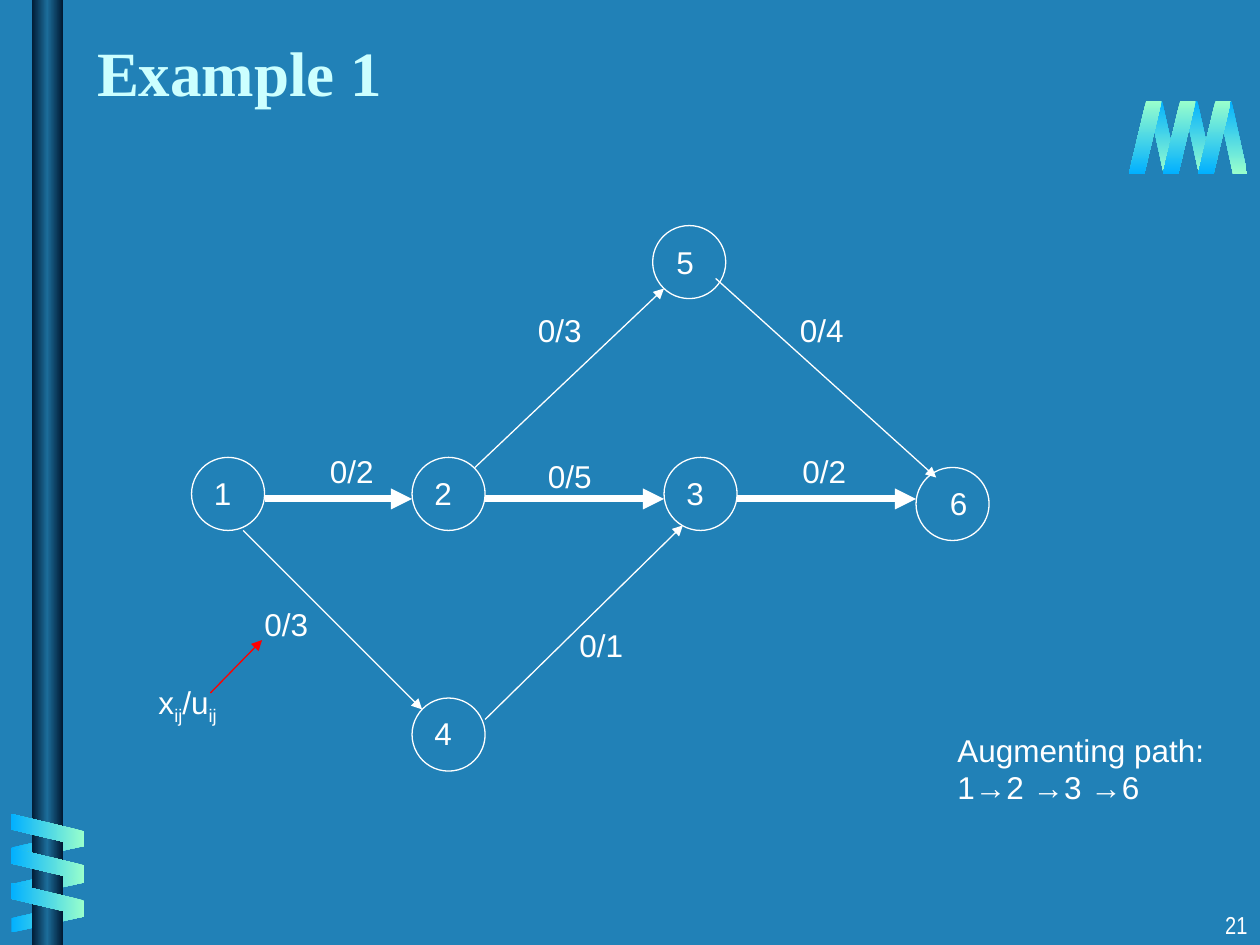
"""Build the slide that shows an augmenting path in a flow network."""
from pptx import Presentation, oxml, util as u
from pptx.dml.color import RGBColor
from pptx.enum import shapes, text
from pptx.oxml import ns

BACKGROUND = RGBColor(0x21, 0x81, 0xB7)
WHITE = RGBColor(0xFF, 0xFF, 0xFF)
RED = RGBColor(0xFF, 0x00, 0x00)
TITLE_COLOR = RGBColor(0xCC, 0xFF, 0xFF)
BAR_EDGE = RGBColor(0x00, 0x19, 0x32)
BAR_CENTER = RGBColor(0x1C, 0x6D, 0x9A)
RIBBON_BLUE = RGBColor(0x01, 0xB0, 0xFF)
RIBBON_GREEN = RGBColor(0x99, 0xFF, 0xCC)

BAR_STOPS = (BAR_EDGE, BAR_CENTER, BAR_EDGE)
BACK_STOPS = (RIBBON_BLUE, RIBBON_GREEN)
FRONT_STOPS = (RIBBON_GREEN, RIBBON_BLUE)

NODE_SIZE = 0.58
NODES = {
    "1": (1.52, 3.63), "2": (3.27, 3.63), "3": (5.27, 3.63),
    "4": (3.27, 5.54), "5": (5.18, 1.79), "6": (7.27, 3.71),
}
LABEL_SHIFTS = {"5": (0.09, 0.09), "6": (0.17, 0.08)}
THIN, THICK = 0.75, 4
EDGES = [
    ((1.93, 4.21), (3.35, 5.63), THIN, "0/3", (2, 4.75)),
    ((2.1, 3.96), (3.27, 3.96), THICK, "0/2", (2.52, 3.54)),
    ((3.77, 3.71), (5.27, 2.29), THIN, "0/3", (4.17, 2.42)),
    ((3.85, 3.96), (5.27, 3.96), THICK, "0/5", (4.25, 3.58)),
    ((3.85, 5.71), (5.42, 4.17), THIN, "0/1", (4.5, 4.92)),
    ((5.85, 3.96), (7.27, 3.96), THICK, "0/2", (6.27, 3.54)),
    ((5.68, 2.21), (7.43, 3.79), THIN, "0/4", (6.25, 2.42)),
]


def apply_format(target, values):
    """Set each named attribute on the target."""
    for name, value in values.items():
        setattr(target, name, value)


class SlideBuilder:
    """Hold the style and the current slide."""

    body = {"name": "Arial", "size": u.Pt(18)}
    heading = {"name": "Times New Roman", "size": u.Pt(36), "bold": True}
    number = {"name": "Arial Narrow", "size": u.Pt(14)}

    def __init__(self, slide):
        """Keep the slide and color its background."""
        self.slide = slide
        slide.background.fill.solid()
        slide.background.fill.fore_color.rgb = BACKGROUND

    def title(self, words, box):
        """Fill and place the title placeholder."""
        shape = self.slide.shapes.title
        lengths = map(u.Inches, box)
        apply_format(shape, dict(zip(("left", "top", "width", "height"), lengths)))
        shape.text_frame.text = words
        apply_format(shape.text_frame, {
            "vertical_anchor": text.MSO_ANCHOR.BOTTOM,
            "auto_size": text.MSO_AUTO_SIZE.NONE, "word_wrap": True})
        paragraph = shape.text_frame.paragraphs[0]
        paragraph.alignment = text.PP_ALIGN.LEFT
        apply_format(paragraph.font, self.heading)
        paragraph.font.color.rgb = TITLE_COLOR

    def gradient(self, shape, stops, angle):
        """Give a shape a linear gradient that ignores its rotation."""
        shape.shadow.inherit = False
        shape.line.fill.background()
        shape.fill.background()
        stop_list = "".join(
            f'<a:gs pos="{100000 * index // (len(stops) - 1)}"><a:srgbClr val="{color}"/></a:gs>'
            for index, color in enumerate(stops))
        fill = oxml.parse_xml(
            f'<a:gradFill {ns.nsdecls("a")} rotWithShape="0"><a:gsLst>{stop_list}</a:gsLst>'
            f'<a:lin ang="{angle * 60000}" scaled="1"/></a:gradFill>')
        properties = shape._element.spPr
        properties.replace(properties.find(ns.qn("a:noFill")), fill)

    def shape(self, kind, box):
        """Add a preset shape."""
        return self.slide.shapes.add_shape(kind, *map(u.Inches, box))

    def ribbon(self, box, rotation, stops, angle, flipped):
        """Add one slanted strip of a coil."""
        shape = self.shape(shapes.MSO_SHAPE.PARALLELOGRAM, box)
        shape.adjustments[0] = 0.53
        shape.rotation = rotation
        if flipped:
            shape._element.spPr.xfrm.set("flipH", "1")
        self.gradient(shape, stops, angle)

    def outline(self, points, stops, angle):
        """Add a closed polygon with a gradient."""
        builder = self.slide.shapes.build_freeform(*points[0], scale=u.Inches(1))
        builder.add_line_segments(points[1:], close=True)
        self.gradient(builder.convert_to_shape(), stops, angle)

    def circle(self, left, top):
        """Add an unfilled node circle."""
        shape = self.shape(shapes.MSO_SHAPE.OVAL, (left, top, NODE_SIZE, NODE_SIZE))
        shape.shadow.inherit = False
        shape.fill.background()
        shape.line.color.rgb = WHITE
        shape.line.width = u.Pt(THIN)

    def arrow(self, start, end, width, color=WHITE):
        """Add a straight arrow."""
        connector = self.slide.shapes.add_connector(
            shapes.MSO_CONNECTOR.STRAIGHT, *map(u.Inches, start + end))
        connector.line.color.rgb = color
        connector.line.width = u.Pt(width)
        head = oxml.parse_xml(f'<a:tailEnd {ns.nsdecls("a")} type="triangle"/>')
        connector.line._get_or_add_ln().append(head)
        effects = oxml.parse_xml(f'<a:effectLst {ns.nsdecls("a")}/>')
        connector._element.spPr.append(effects)

    def label(self, lines, box, style=None, align=text.PP_ALIGN.LEFT, wrap=False):
        """Add text from lines of (words, is_subscript) runs."""
        frame = self.slide.shapes.add_textbox(*map(u.Inches, box)).text_frame
        fit = text.MSO_AUTO_SIZE
        apply_format(frame, {
            "word_wrap": wrap, "auto_size": fit.NONE if wrap else fit.SHAPE_TO_FIT_TEXT})
        for index, runs in enumerate(lines):
            paragraph = frame.add_paragraph() if index else frame.paragraphs[0]
            paragraph.alignment = align
            for words, is_subscript in runs:
                run = paragraph.add_run()
                run.text = words
                apply_format(run.font, style or self.body)
                run.font.color.rgb = WHITE
                if is_subscript:
                    run._r.get_or_add_rPr().set("baseline", "-25000")


def draw_frame(builder):
    """Draw the two bars with the coils around them."""
    for left in (9.66, 9.39, 9.11):
        builder.ribbon((left, 0.8, 0.24, 0.58), 180, BACK_STOPS, 90, True)
    for top in (6.43, 6.72, 6.99):
        builder.ribbon((0.26, top, 0.24, 0.58), 90, BACK_STOPS, 180, True)
    bar = builder.shape(shapes.MSO_SHAPE.RECTANGLE, (0.25, 0, 0.25, 7.5))
    builder.gradient(bar, BAR_STOPS, 180)
    builder.outline([(10, 1), (0.5, 1), (0.33, 1.12), (0.5, 1.25), (10, 1.25)],
                    BAR_STOPS, 90)
    for top in (6.3, 6.57, 6.85):
        builder.ribbon((0.25, top, 0.26, 0.58), 270, FRONT_STOPS, 180, False)
    for left in (9.51, 9.23, 8.96):
        builder.ribbon((left, 0.8, 0.26, 0.58), 0, FRONT_STOPS, 90, False)


def draw_network(builder):
    """Draw the nodes, the edges and their labels."""
    for left, top in NODES.values():
        builder.circle(left, top)
    for start, end, width, flow, place in EDGES:
        builder.arrow(start, end, width)
        builder.label([[(flow, False)]], (*place, 0.55, 0.4))
    for name, (left, top) in NODES.items():
        right, down = LABEL_SHIFTS.get(name, (0.08, 0.08))
        builder.label([[(name, False)]], (left + right, top + down, 0.34, 0.4))


def main():
    """Build and save the presentation."""
    presentation = Presentation()
    presentation.slide_width, presentation.slide_height = u.Inches(10), u.Inches(7.5)
    builder = SlideBuilder(presentation.slides.add_slide(presentation.slide_layouts[5]))
    draw_frame(builder)
    builder.title("Example 1", (0.67, 0.17, 8.3, 0.75))
    draw_network(builder)
    builder.label([[("Augmenting path:", False)], [("1→2 →3 →6", False)]],
                  (7.5, 5.75, 2.16, 0.7))
    builder.label([[("x", False), ("ij", True), ("/u", False), ("ij", True)]],
                  (1.16, 5.37, 0.66, 0.44))
    builder.arrow((1.67, 5.5), (2.08, 5.08), THIN, RED)
    builder.label([[("21", False)]], (7.92, 7.17, 2.08, 0.33), builder.number,
                  text.PP_ALIGN.RIGHT, True)
    presentation.save("out.pptx")


if __name__ == "__main__":
    main()
